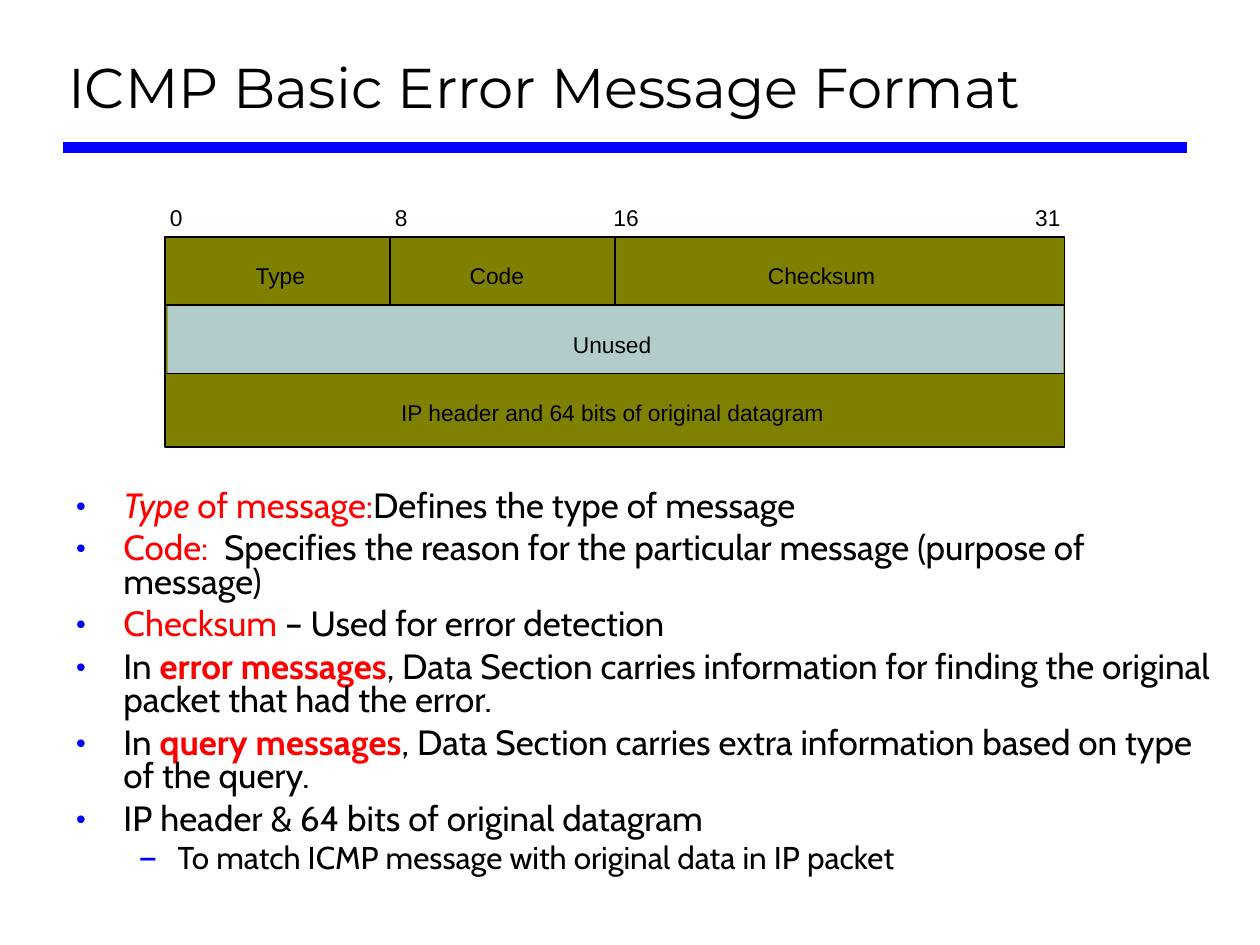
from dataclasses import dataclass

from lxml.etree import SubElement
from pptx import Presentation
from pptx.dml.color import RGBColor
from pptx.enum.shapes import MSO_CONNECTOR, MSO_SHAPE
from pptx.enum.text import MSO_ANCHOR, MSO_AUTO_SIZE, PP_ALIGN
from pptx.oxml.ns import qn
from pptx.util import Inches, Pt


@dataclass(frozen=True)
class Theme:
    ink: str = "000000"
    accent: str = "0000FF"
    term: str = "FF0000"
    header: str = "808000"
    unused: str = "B1CCCB"
    title_font: str = "Montserrat"
    body_font: str = "Cabin"
    label_font: str = "Arial"
    title_size: float = 32
    body_sizes: tuple = (20, 18)
    label_size: float = 13
    rule_width: float = 6
    grid_width: float = 0.88


@dataclass(frozen=True)
class Box:
    left: float
    top: float
    width: float
    height: float

    def emu(self):
        return [Inches(v) for v in (self.left, self.top, self.width, self.height)]


THEME = Theme()
SLIDE_W, SLIDE_H = 10, 7.5
BITS = 32
ROW_SHARES = (0, 0.325, 0.65, 1)

# Row, centre of the text in bits, wording
FIELDS = [
    (0, 4.1, "Type"),
    (0, 11.8, "Code"),
    (0, 23.35, "Checksum"),
    (1, 15.9, "Unused"),
    (2, 15.9, "IP header and 64 bits of original datagram"),
]

# Level, then runs of (wording, style); styles: t = term, i = italic, b = bold
POINTS = [
    (0, [("Type", "ti"), (" of message:", "t"), ("Defines the type of message", "")]),
    (0, [("Code:", "t"),
         ("  Specifies the reason for the particular message (purpose of message)", "")]),
    (0, [("Checksum", "t"), (" – Used for error detection", "")]),
    (0, [("In ", ""), ("error messages", "tb"),
         (", Data Section carries information for finding the original packet "
          "that had the error.", "")]),
    (0, [("In ", ""), ("query messages", "tb"),
         (", Data Section carries extra information based on type of the query.", "")]),
    (0, [("IP header & 64 bits of original datagram", "")]),
    (1, [("To match ICMP message with original data in IP packet", "")]),
]
# Bullet, text indent, hanging indent, space before
LEVELS = [("•", 0.38, 0.38, 5), ("—", 0.81, 0.31, 4.5)]


def add_run(paragraph, wording, font, size, color):
    run = paragraph.add_run()
    run.text = wording
    run.font.name = font
    run.font.size = Pt(size)
    run.font.color.rgb = RGBColor.from_string(color)
    return run


def add_line(slide, start, end, color, width):
    line = slide.shapes.add_connector(
        MSO_CONNECTOR.STRAIGHT, *[Inches(v) for v in (*start, *end)])
    line.line.color.rgb = RGBColor.from_string(color)
    line.line.width = Pt(width)
    SubElement(line._element.spPr, qn("a:effectLst"))


def add_band(slide, box, fill, outlined):
    band = slide.shapes.add_shape(MSO_SHAPE.RECTANGLE, *box.emu())
    band.shadow.inherit = False
    band.fill.solid()
    band.fill.fore_color.rgb = RGBColor.from_string(fill)
    if outlined:
        band.line.color.rgb = RGBColor.from_string(THEME.ink)
        band.line.width = Pt(THEME.grid_width)
    else:
        band.line.fill.background()


def add_label(slide, center, top, wording):
    """Put one line of text centred on the given x position."""
    width = 0.1 * len(wording) + 0.1
    label = slide.shapes.add_textbox(*Box(center - width / 2, top, width, 0.22).emu())
    frame = label.text_frame
    frame.margin_left = frame.margin_right = frame.margin_top = frame.margin_bottom = 0
    frame.word_wrap = False
    paragraph = frame.paragraphs[0]
    paragraph.alignment = PP_ALIGN.CENTER
    add_run(paragraph, wording, THEME.label_font, THEME.label_size, THEME.ink)


def place(holder, box):
    holder.left, holder.top, holder.width, holder.height = box.emu()
    holder.text_frame.word_wrap = True
    holder.text_frame.auto_size = MSO_AUTO_SIZE.NONE
    return holder.text_frame


def fill_title(slide, box):
    frame = place(slide.shapes.title, box)
    frame.vertical_anchor = MSO_ANCHOR.BOTTOM
    paragraph = frame.paragraphs[0]
    paragraph.alignment = PP_ALIGN.LEFT
    add_run(paragraph, "ICMP Basic Error Message Format",
            THEME.title_font, THEME.title_size, THEME.ink)


def draw_message_format(slide, box):
    """Draw the packet layout: bit ruler, three rows and their fields."""
    rows = [box.top + box.height * share for share in ROW_SHARES]

    def bit_x(bit):
        return box.left + box.width * bit / BITS

    add_band(slide, box, THEME.header, True)
    add_band(slide, Box(box.left + 0.02, rows[1], box.width - 0.03, rows[2] - rows[1]),
             THEME.unused, False)
    for y in rows[1:3]:
        add_line(slide, (bit_x(0), y), (bit_x(BITS), y), THEME.ink, THEME.grid_width)
    for bit in (8, 16):
        add_line(slide, (bit_x(bit), rows[0]), (bit_x(bit), rows[1]),
                 THEME.ink, THEME.grid_width)
    for bit in (0, 8, 16, 31):
        add_label(slide, bit_x(bit + 0.4), box.top - 0.26, str(bit))
    for row, center, wording in FIELDS:
        add_label(slide, bit_x(center), rows[row] + 0.2, wording)


def set_bullet(paragraph, mark, indent, hanging):
    props = paragraph._p.get_or_add_pPr()
    props.set("marL", str(Inches(indent)))
    props.set("indent", str(-Inches(hanging)))
    color = SubElement(props, qn("a:buClr"))
    SubElement(color, qn("a:srgbClr"), val=THEME.accent)
    SubElement(props, qn("a:buFont"), typeface=THEME.body_font)
    SubElement(props, qn("a:buChar"), char=mark)


def fill_points(slide, box):
    frame = place(slide.placeholders[1], box)
    for index, (level, runs) in enumerate(POINTS):
        paragraph = frame.add_paragraph() if index else frame.paragraphs[0]
        mark, indent, hanging, gap = LEVELS[level]
        set_bullet(paragraph, mark, indent, hanging)
        paragraph.level = level
        paragraph.line_spacing = 0.8
        paragraph.space_before = Pt(gap if index else 0)
        for wording, style in runs:
            color = THEME.term if "t" in style else THEME.ink
            run = add_run(paragraph, wording, THEME.body_font,
                          THEME.body_sizes[level], color)
            run.font.italic = "i" in style
            run.font.bold = "b" in style


def main():
    deck = Presentation()
    deck.slide_width, deck.slide_height = Inches(SLIDE_W), Inches(SLIDE_H)
    slide = deck.slides.add_slide(deck.slide_layouts[1])
    add_line(slide, (0.5, 1.17), (9.42, 1.17), THEME.accent, THEME.rule_width)
    draw_message_format(slide, Box(1.31, 1.88, 7.14, 1.67))
    fill_title(slide, Box(0.44, 0.17, 8.97, 0.83))
    fill_points(slide, Box(0.5, 3.85, 9.24, 3.25))
    deck.save("out.pptx")


if __name__ == "__main__":
    main()
